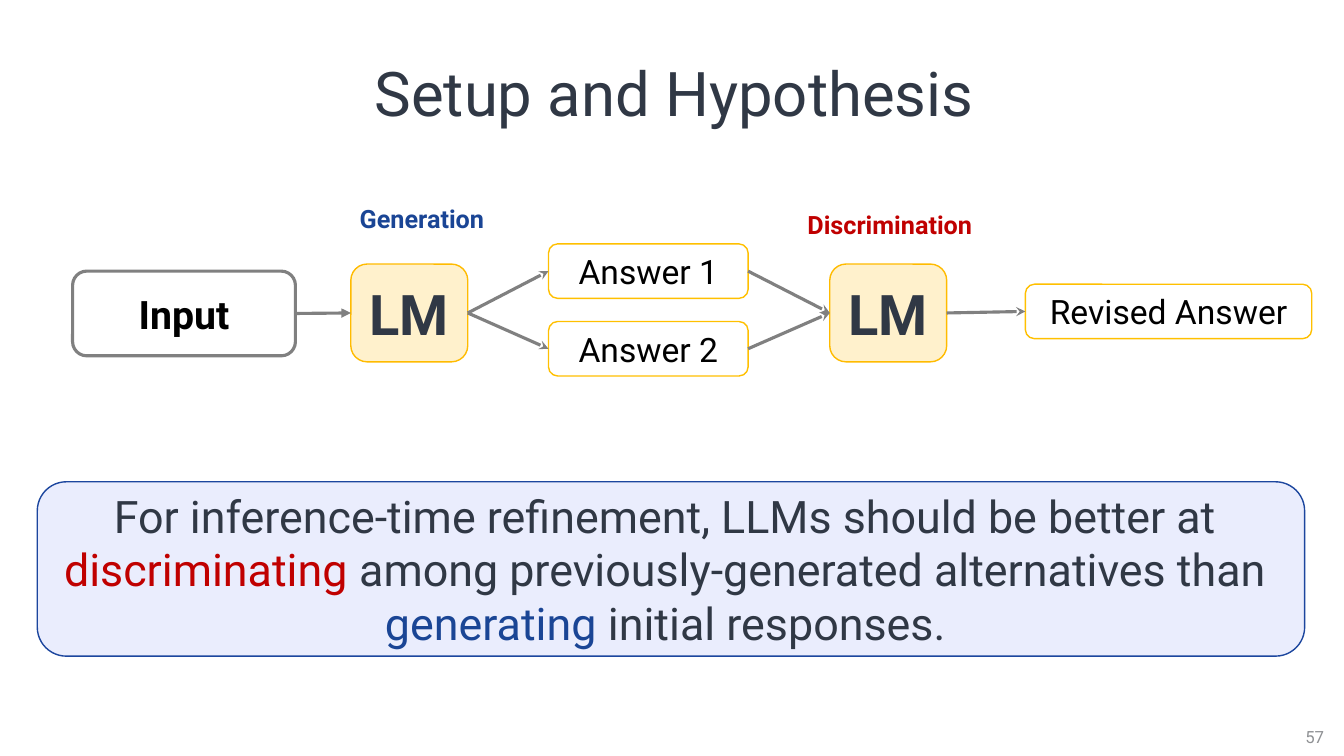
import pptx
import pptx.util
import pptx.dml.color
import pptx.enum.shapes
import pptx.enum.text
import pptx.oxml.ns
import lxml.etree
from dataclasses import dataclass

PX = 9144  # 100 px to the inch


@dataclass(frozen=True)
class Theme:
    font: str = "Roboto"
    ink: str = "303845"
    black: str = "000000"
    blue: str = "1A4595"
    red: str = "C00000"
    gray: str = "808080"
    page: str = "8F9194"
    model_fill: str = "FFF1CC"
    model_line: str = "FFBB00"
    answer_line: str = "FFC000"
    claim_fill: str = "EAEDFD"
    claim_line: str = "1C469E"
    title_pt: int = 44
    model_pt: int = 40
    claim_pt: int = 32
    input_pt: int = 28
    answer_pt: int = 24
    label_pt: int = 18
    page_pt: int = 12
    thin: float = 1
    thick: float = 2.25


THEME = Theme()


def rgb(color):
    return pptx.dml.color.RGBColor.from_string(color)


def emu(box):
    return [pptx.util.Emu(length * PX) for length in box]


def write(frame, lines, size, bold=False, anchor="MIDDLE"):
    """Fill a frame with one centred paragraph; each line lists (text, colour) runs."""
    frame.word_wrap = True
    frame.vertical_anchor = getattr(pptx.enum.text.MSO_ANCHOR, anchor)
    paragraph = frame.paragraphs[0]
    paragraph.alignment = pptx.enum.text.PP_ALIGN.CENTER
    for number, line in enumerate(lines):
        if number:
            paragraph.add_line_break()
        for text, color in line:
            run = paragraph.add_run()
            run.text = text
            run.font.name = THEME.font
            run.font.size = pptx.util.Pt(size)
            run.font.bold = bold
            run.font.color.rgb = rgb(color)
    return paragraph


def add_text(slide, box, text, size, color, bold=False, anchor="MIDDLE"):
    frame = slide.shapes.add_textbox(*emu(box)).text_frame
    return write(frame, [[(text, color)]], size, bold, anchor)


def add_card(slide, box, lines, size, line, fill=None, width=THEME.thin, bold=False):
    card = slide.shapes.add_shape(
        pptx.enum.shapes.MSO_SHAPE.ROUNDED_RECTANGLE, *emu(box))
    card.shadow.inherit = False
    if fill:
        card.fill.solid()
        card.fill.fore_color.rgb = rgb(fill)
    else:
        card.fill.background()
    card.line.color.rgb = rgb(line)
    card.line.width = pptx.util.Pt(width)
    write(card.text_frame, lines, size, bold)
    return card


def add_arrow(slide, source, target, head="stealth"):
    """Join the right side of one card to the left side of another."""
    arrow = slide.shapes.add_connector(
        pptx.enum.shapes.MSO_CONNECTOR.STRAIGHT, 0, 0, 0, 0)
    arrow.begin_connect(source, 3)
    arrow.end_connect(target, 1)
    arrow.line.color.rgb = rgb(THEME.gray)
    arrow.line.width = pptx.util.Pt(THEME.thick)
    tail = lxml.etree.SubElement(arrow.line._get_or_add_ln(),
                                 pptx.oxml.ns.qn("a:tailEnd"))
    tail.set("type", head)
    lxml.etree.SubElement(arrow._element.spPr, pptx.oxml.ns.qn("a:effectLst"))


def add_title(slide, box):
    title = add_text(slide, box, "Setup and Hypothesis", THEME.title_pt, THEME.ink)
    title.line_spacing = 0.9


def add_pipeline(slide, box):
    left, top, width, height = box

    def model(x):
        return add_card(slide, (left + x, top + 65, 116, 97), [[("LM", THEME.ink)]],
                        THEME.model_pt, THEME.model_line, THEME.model_fill, bold=True)

    def answer(text, x, y, card_width):
        return add_card(slide, (left + x, top + y, card_width, 54),
                        [[(text, THEME.black)]], THEME.answer_pt, THEME.answer_line)

    # Cards, in reading order
    prompt = add_card(slide, (left, top + 72, 221, 84), [[("Input", THEME.black)]],
                      THEME.input_pt, THEME.gray, width=THEME.thick, bold=True)
    generator = model(276)
    answers = [answer(f"Answer {n + 1}", 472, 45 + 77 * n, 198) for n in range(2)]
    discriminator = model(751)
    revised = answer("Revised Answer", width - 284, 85, 284)

    # Stage labels
    for text, color, x, y, label_width in (
            ("Generation", THEME.blue, 261, 0, 171),
            ("Discrimination", THEME.red, 715, 6, 191)):
        add_text(slide, (left + x, top + y, label_width, 40), text,
                 THEME.label_pt, color, bold=True, anchor="TOP")

    # Flow
    add_arrow(slide, prompt, generator, "triangle")
    for candidate in answers:
        add_arrow(slide, generator, candidate)
        add_arrow(slide, candidate, discriminator)
    add_arrow(slide, discriminator, revised)


def add_hypothesis(slide, box):
    lines = [
        [("For inference-time refinement, LLMs should be better at ", THEME.ink)],
        [("discriminating", THEME.red),
         (" among previously-generated alternatives than ", THEME.ink)],
        [("generating ", THEME.blue), ("initial responses. ", THEME.ink)],
    ]
    add_card(slide, box, lines, THEME.claim_pt, THEME.claim_line, THEME.claim_fill)


def add_page_number(slide, box):
    add_text(slide, box, "57", THEME.page_pt, THEME.page)


def main():
    deck = pptx.Presentation()
    deck.slide_width, deck.slide_height = emu((1333, 750))
    slide = deck.slides.add_slide(deck.slide_layouts[6])
    add_title(slide, (22, 41, 1294, 110))
    add_pipeline(slide, (72, 197, 1229, 176))
    add_hypothesis(slide, (37, 478, 1257, 173))
    add_page_number(slide, (1275, 711, 58, 40))
    deck.save("out.pptx")


if __name__ == "__main__":
    main()
